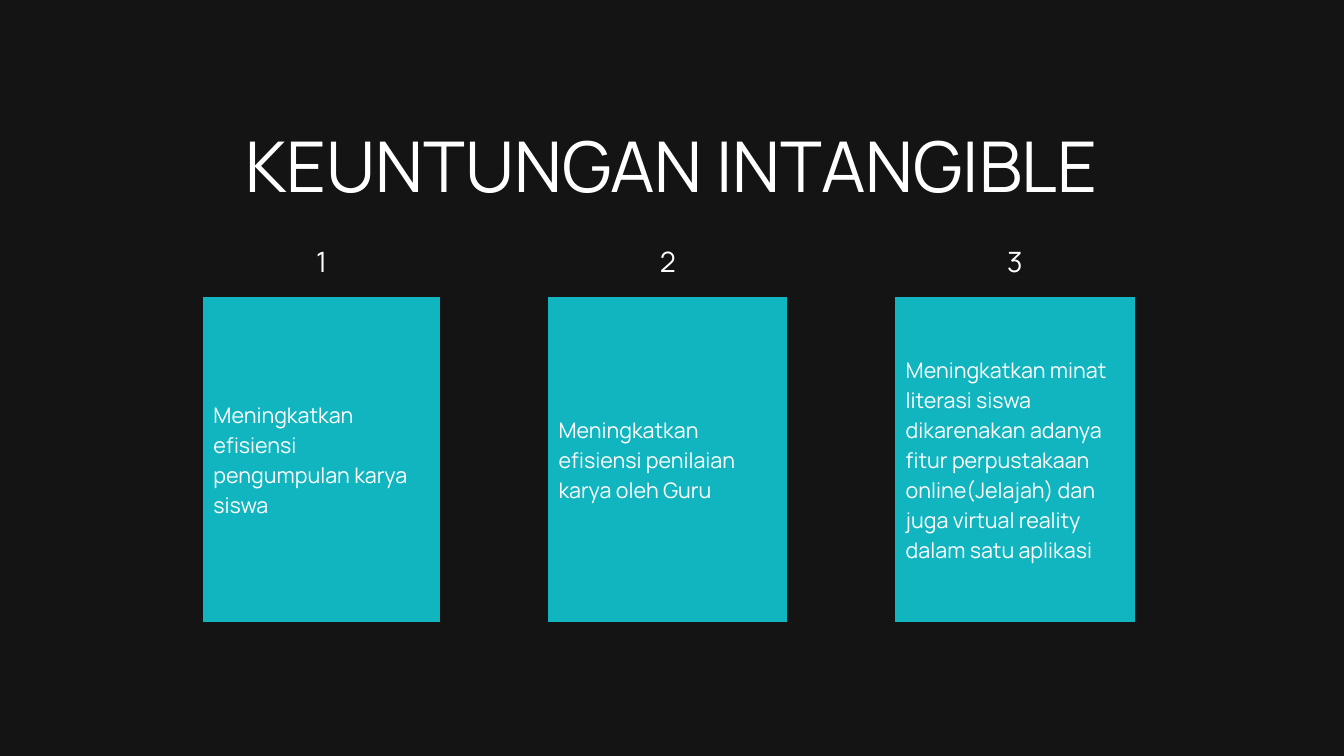
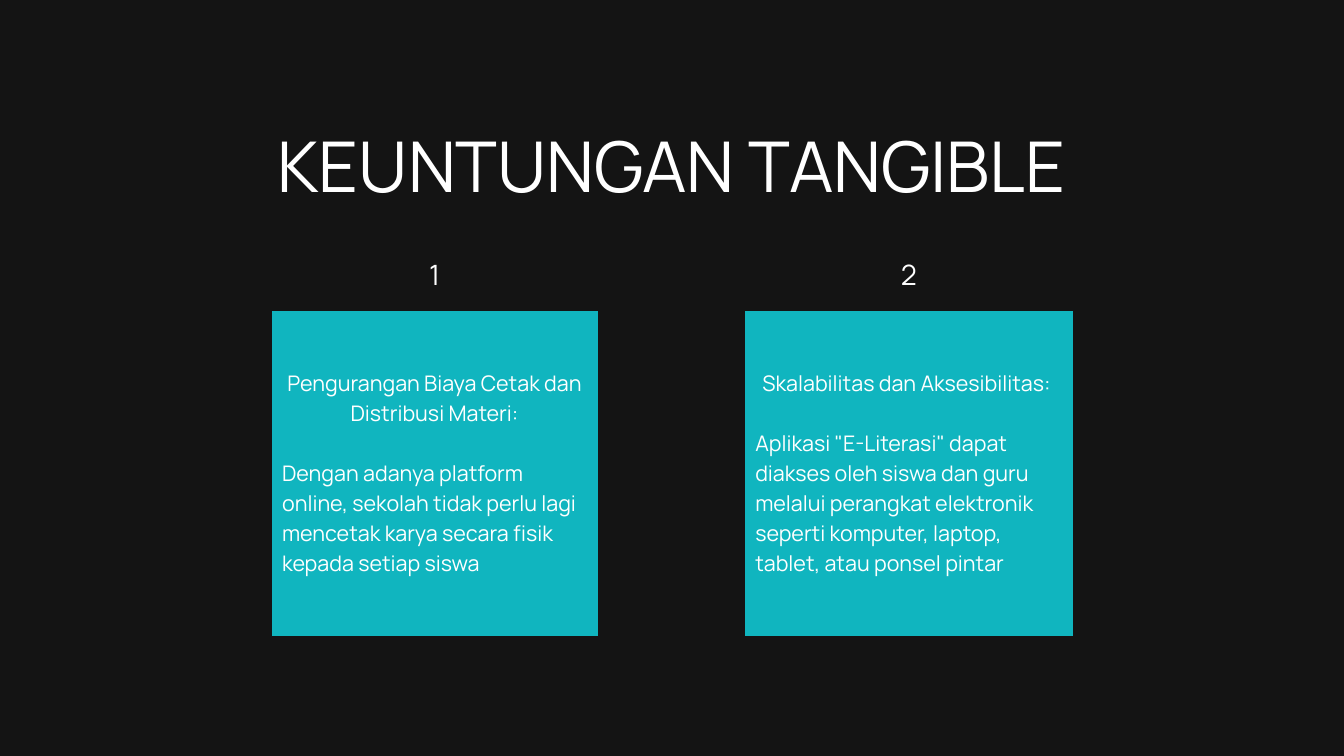
from dataclasses import dataclass

import pptx
import pptx.dml.color
import pptx.enum.text
import pptx.oxml
import pptx.oxml.ns
import pptx.util

PX = 9525  # EMU in one px, 96 px to the inch
FONT = "Manrope"
COLOURS = {"background": "141414", "card": "10B5BF", "text": "FFFFFF"}
ALIGN = pptx.enum.text.PP_ALIGN
ANCHOR = pptx.enum.text.MSO_ANCHOR

ROW_HEIGHTS = (104, 464)  # numbers, cards
SPARE_COLUMNS = (42, 42)
CELL_MARGIN = 15
CARD_LINE = 32.2


@dataclass(frozen=True)
class Card:
    body: str
    width: int
    heading: str = ""


@dataclass(frozen=True)
class BenefitSlide:
    title: str
    left: int
    top: int
    gap: int
    cards: tuple[Card, ...]


SLIDES = (
    BenefitSlide("KEUNTUNGAN INTANGIBLE", 290, 321, 154, (
        Card("Meningkatkan efisiensi pengumpulan karya siswa", 339),
        Card("Meningkatkan efisiensi penilaian karya oleh Guru", 342),
        Card("Meningkatkan minat literasi siswa dikarenakan adanya fitur perpustakaan "
             "online(Jelajah) dan juga virtual reality dalam satu aplikasi", 342),
    )),
    BenefitSlide("KEUNTUNGAN TANGIBLE", 388, 340, 210, (
        Card("Dengan adanya platform online, sekolah tidak perlu lagi mencetak karya "
             "secara fisik kepada setiap siswa", 466,
             "Pengurangan Biaya Cetak dan Distribusi Materi:"),
        Card('Aplikasi "E-Literasi" dapat diakses oleh siswa dan guru melalui perangkat '
             "elektronik seperti komputer, laptop, tablet, atau ponsel pintar", 469,
             "Skalabilitas dan Aksesibilitas: "),
    )),
)


def px(length: int) -> int:
    return pptx.util.Emu(length * PX)


def colour(name: str) -> pptx.dml.color.RGBColor:
    return pptx.dml.color.RGBColor.from_string(COLOURS[name])


def write(paragraph, text: str, *, size: float, line: float,
          align=ALIGN.LEFT, before: float = 0) -> None:
    paragraph.text = text
    paragraph.alignment = align
    paragraph.line_spacing = pptx.util.Pt(line)
    paragraph.space_before = pptx.util.Pt(before)
    for run in paragraph.runs:
        run.font.name = FONT
        run.font.size = pptx.util.Pt(size)
        run.font.color.rgb = colour("text")


def add_title(slide, text: str) -> None:
    title = slide.shapes.title
    title.left, title.top, title.width, title.height = map(px, (144, 175, 1631, 121))
    frame = title.text_frame
    frame.margin_left = frame.margin_right = frame.margin_top = frame.margin_bottom = 0
    frame.vertical_anchor = ANCHOR.TOP
    frame.word_wrap = True
    frame.auto_size = pptx.enum.text.MSO_AUTO_SIZE.SHAPE_TO_FIT_TEXT
    write(frame.paragraphs[0], text, size=75, line=90, align=ALIGN.CENTER)


def clear_cell(cell) -> None:
    """Leave the cell without fill or borders, with the shared margins."""
    cell.margin_left = cell.margin_right = px(CELL_MARGIN)
    cell.margin_top = cell.margin_bottom = px(CELL_MARGIN)
    cell.vertical_anchor = ANCHOR.MIDDLE
    cell.fill.background()
    properties = cell._tc.get_or_add_tcPr()
    for index, side in enumerate(("lnL", "lnR", "lnT", "lnB")):
        properties.insert(index, pptx.oxml.parse_xml(
            f'<a:{side} {pptx.oxml.ns.nsdecls("a")} w="0"><a:noFill/></a:{side}>'))


def fill_card(cell, card: Card) -> None:
    cell.fill.solid()
    cell.fill.fore_color.rgb = colour("card")
    frame = cell.text_frame
    paragraph = frame.paragraphs[0]
    if card.heading:
        write(paragraph, card.heading, size=23, line=CARD_LINE, align=ALIGN.CENTER)
        paragraph = frame.add_paragraph()
    write(paragraph, card.body, size=23, line=CARD_LINE,
          before=CARD_LINE if card.heading else 0)


def add_cards(slide, content: BenefitSlide) -> None:
    # Card columns alternate with gaps; the last gap gives way to spare columns
    widths = [width for card in content.cards for width in (card.width, content.gap)]
    widths[-1:] = SPARE_COLUMNS
    table = slide.shapes.add_table(
        len(ROW_HEIGHTS), len(widths), px(content.left), px(content.top),
        px(sum(widths)), px(sum(ROW_HEIGHTS))).table
    table.first_row = table.horz_banding = False
    for column, width in zip(table.columns, widths):
        column.width = px(width)
    for row, height in zip(table.rows, ROW_HEIGHTS):
        row.height = px(height)
    for cell in table.iter_cells():
        clear_cell(cell)

    for index, card in enumerate(content.cards):
        number = table.cell(0, 2 * index).text_frame.paragraphs[0]
        write(number, str(index + 1), size=30, line=42, align=ALIGN.CENTER)
        fill_card(table.cell(1, 2 * index), card)


def main() -> None:
    presentation = pptx.Presentation()
    presentation.slide_width, presentation.slide_height = px(1920), px(1080)

    # Shared dark background
    background = presentation.slide_master.background.fill
    background.solid()
    background.fore_color.rgb = colour("background")

    title_only = presentation.slide_layouts[5]
    for content in SLIDES:
        slide = presentation.slides.add_slide(title_only)
        add_title(slide, content.title)
        add_cards(slide, content)
    presentation.save("out.pptx")


if __name__ == "__main__":
    main()
